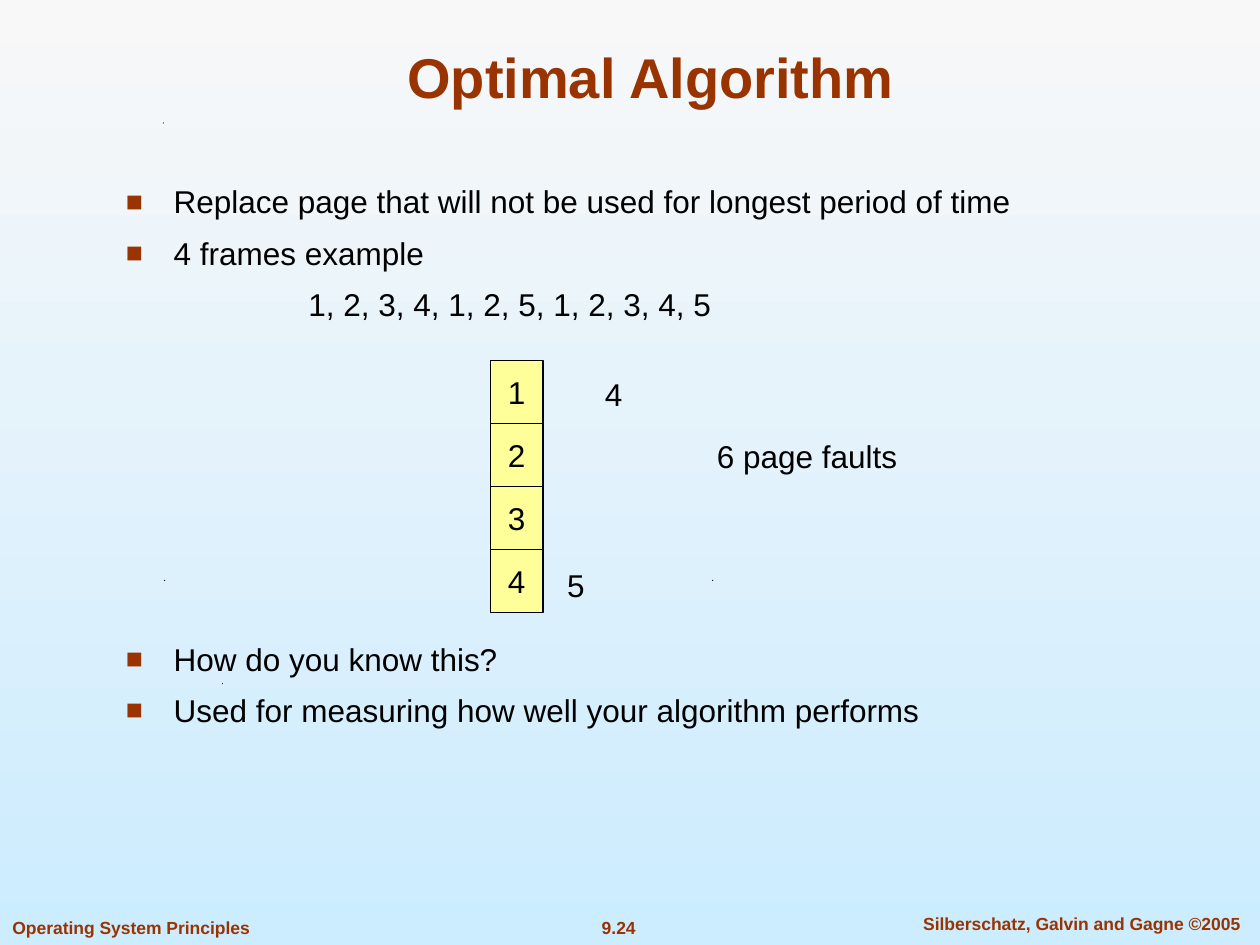
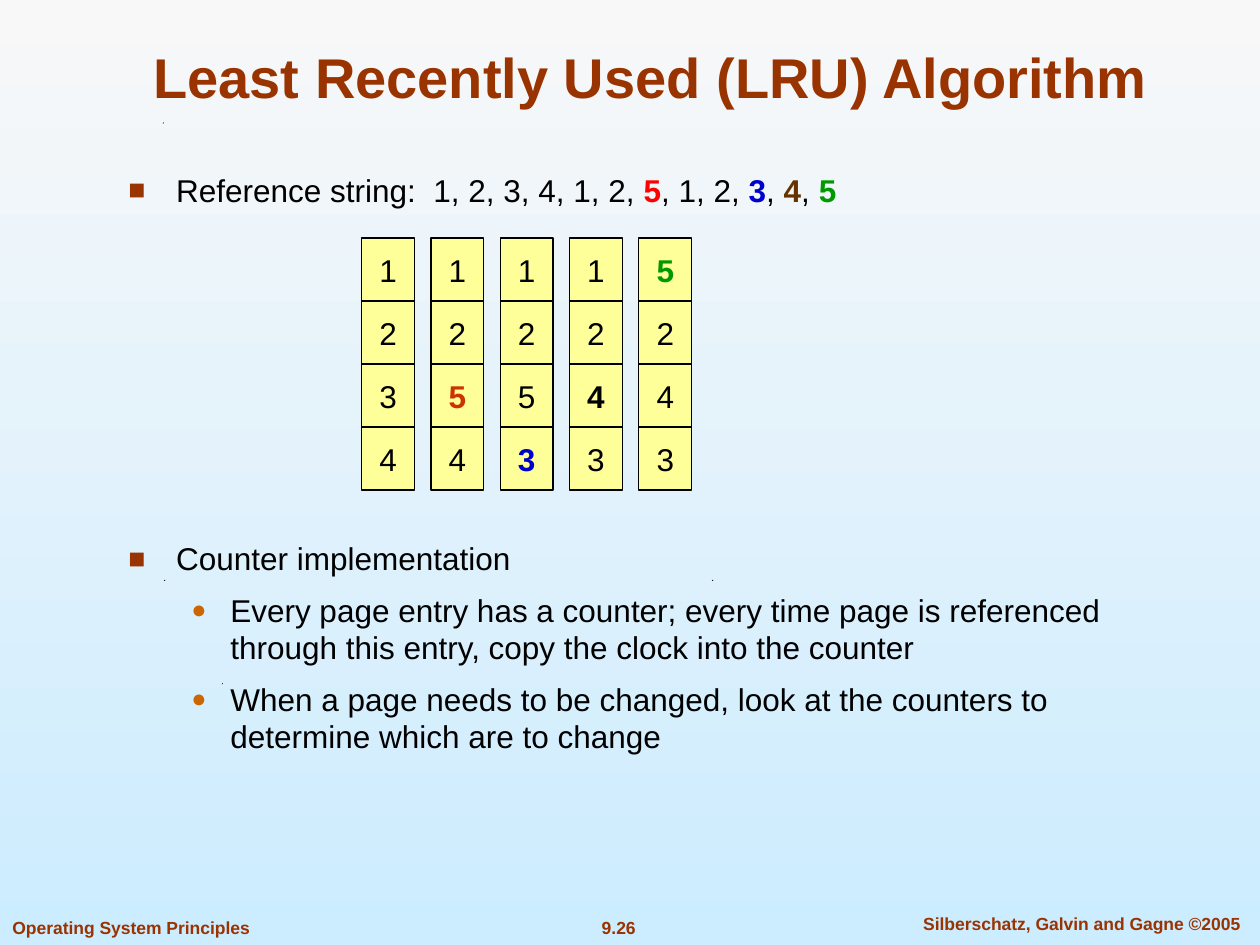
"""Build two slides on page replacement algorithms."""
from dataclasses import dataclass

from lxml import etree
from pptx import Presentation
from pptx import util as u
from pptx.dml.color import RGBColor
from pptx.enum import shapes, text
from pptx.oxml import ns


@dataclass(frozen=True)
class Theme:
    font: str = "Arial"
    accent: str = "993300"
    sub_accent: str = "CC6600"
    ink: str = "000000"
    frame_fill: str = "FFFF99"
    sky_top: str = "F8F8F8"
    sky_bottom: str = "CCECFF"
    red: str = "FF0000"
    brick: str = "CC3300"
    blue: str = "0000CC"
    brown: str = "663300"
    green: str = "009900"
    title_size: float = 32
    body_size: float = 18
    footer_size: float = 10
    line_pitch: float = 21.5
    para_gap: float = 7.9


THEME = Theme()


@dataclass(frozen=True)
class Span:
    text: str
    color: str = THEME.ink
    bold: bool = False
    size: float = THEME.body_size


@dataclass(frozen=True)
class Bullet:
    char: str
    color: str
    percent: int


@dataclass(frozen=True)
class Level:
    margin: float
    hanging: float
    bullet: Bullet | None = None


@dataclass(frozen=True)
class Para:
    spans: tuple[Span, ...]
    level: Level
    gap: float = THEME.para_gap


@dataclass(frozen=True)
class Area:
    left: float
    top: float
    width: float
    height: float

    def lengths(self) -> tuple[u.Length, ...]:
        return tuple(u.Inches(n) for n in (self.left, self.top, self.width, self.height))


@dataclass(frozen=True)
class Label:
    area: Area
    span: Span
    align: text.PP_ALIGN = text.PP_ALIGN.CENTER
    anchor: text.MSO_ANCHOR = text.MSO_ANCHOR.MIDDLE


POINT = Level(0.38, 0.38, Bullet("■", THEME.accent, 90))
SUBPOINT = Level(0.81, 0.31, Bullet("●", THEME.sub_accent, 80))
SEQUENCE = Level(1.45, 0)

TITLE_AREA = Area(0.75, 0.25, 8.83, 0.67)
FRAME_WIDTH, FRAME_HEIGHT, COLUMN_STEP = 0.42, 0.5, 0.55
SPECKS = ((1.29, 0.97), (1.3, 4.6), (5.65, 4.6), (1.76, 5.42))
SPECK_SIZE = 0.01


def add_span(para, span: Span) -> None:
    run = para.add_run()
    run.text = span.text
    run.font.name = THEME.font
    run.font.size = u.Pt(span.size)
    run.font.bold = span.bold
    run.font.color.rgb = RGBColor.from_string(span.color)


def fill_single(box, span: Span, align: text.PP_ALIGN, anchor: text.MSO_ANCHOR) -> None:
    frame = box.text_frame
    frame.auto_size = text.MSO_AUTO_SIZE.NONE
    frame.word_wrap = False
    frame.vertical_anchor = anchor
    para = frame.paragraphs[0]
    para.alignment = align
    add_span(para, span)


def add_label(page, label: Label) -> None:
    box = page.shapes.add_textbox(*label.area.lengths())
    fill_single(box, label.span, label.align, label.anchor)


def set_level(para, level: Level) -> None:
    props = para._p.get_or_add_pPr()
    props.set("marL", str(u.Inches(level.margin)))
    props.set("indent", str(-u.Inches(level.hanging)))
    if level.bullet is None:
        etree.SubElement(props, ns.qn("a:buNone"))
        return
    color = etree.SubElement(props, ns.qn("a:buClr"))
    etree.SubElement(color, ns.qn("a:srgbClr"), val=level.bullet.color)
    etree.SubElement(props, ns.qn("a:buSzPct"), val=str(level.bullet.percent * 1000))
    etree.SubElement(props, ns.qn("a:buFont"), typeface=THEME.font)
    etree.SubElement(props, ns.qn("a:buChar"), char=level.bullet.char)


def add_body(page, area: Area, paras: list[Para]) -> None:
    frame = page.shapes.add_textbox(*area.lengths()).text_frame
    frame.word_wrap = True
    for index, item in enumerate(paras):
        para = frame.add_paragraph() if index else frame.paragraphs[0]
        para.line_spacing = u.Pt(THEME.line_pitch)
        para.space_before = u.Pt(item.gap)
        set_level(para, item.level)
        for span in item.spans:
            add_span(para, span)


def add_frames(page, left: float, top: float, spans: list[Span]) -> None:
    for row, span in enumerate(spans):
        area = Area(left, top + row * FRAME_HEIGHT, FRAME_WIDTH, FRAME_HEIGHT)
        box = page.shapes.add_shape(shapes.MSO_SHAPE.RECTANGLE, *area.lengths())
        box.shadow.inherit = False
        box.fill.solid()
        box.fill.fore_color.rgb = RGBColor.from_string(THEME.frame_fill)
        box.line.color.rgb = RGBColor.from_string(THEME.ink)
        box.line.width = u.Pt(0.75)
        fill_single(box, span, text.PP_ALIGN.CENTER, text.MSO_ANCHOR.MIDDLE)


def add_speck(page, left: float, top: float) -> None:
    right, bottom = u.Inches(left + SPECK_SIZE), u.Inches(top + SPECK_SIZE)
    builder = page.shapes.build_freeform(u.Inches(left), bottom)
    builder.add_line_segments([(right, u.Inches(top)), (right, bottom)], close=True)
    speck = builder.convert_to_shape()
    speck.shadow.inherit = False
    speck.fill.solid()
    speck.fill.fore_color.rgb = RGBColor.from_string(THEME.ink)
    speck.line.fill.background()


def add_footers(page, number: str) -> None:
    center, left = text.PP_ALIGN.CENTER, text.PP_ALIGN.LEFT
    for words, area, align in (
        (number, Area(4.42, 7.23, 0.98, 0.27), center),
        ("Silberschatz, Galvin and Gagne ©2005", Area(7.1, 7.2, 2.97, 0.27), center),
        ("Operating System Principles", Area(0, 7.23, 2.08, 0.27), left),
    ):
        span = Span(words, THEME.accent, True, THEME.footer_size)
        add_label(page, Label(area, span, align, text.MSO_ANCHOR.TOP))


def add_page(deck, title: str, number: str):
    page = deck.slides.add_slide(deck.slide_layouts.get_by_name("Title Only"))
    add_footers(page, number)
    for left, top in SPECKS:
        add_speck(page, left, top)
    box = page.shapes.title
    box.left, box.top, box.width, box.height = TITLE_AREA.lengths()
    span = Span(title, THEME.accent, True, THEME.title_size)
    fill_single(box, span, text.PP_ALIGN.CENTER, text.MSO_ANCHOR.BOTTOM)
    box.text_frame.word_wrap = True
    return page


def paint_background(deck) -> None:
    fill = deck.slide_master.background.fill
    fill.gradient()
    fill.gradient_angle = 270
    for stop, color in zip(fill.gradient_stops, (THEME.sky_top, THEME.sky_bottom)):
        stop.color.rgb = RGBColor.from_string(color)


def build_optimal(deck) -> None:
    page = add_page(deck, "Optimal Algorithm", "9.24")
    add_body(page, Area(0.9, 1.4, 8.04, 4.9), [
        Para((Span("Replace page that will not be used for longest period of time"),), POINT),
        Para((Span("4 frames example"),), POINT),
        Para((Span("1, 2, 3, 4, 1, 2, 5, 1, 2, 3, 4, 5"),), SEQUENCE),
        Para((Span("How do you know this?"),), POINT, gap=181),
        Para((Span("Used for measuring how well your algorithm performs"),), POINT),
    ])
    add_frames(page, 3.89, 2.86, [Span(digit) for digit in "1234"])
    for words, area in (
        ("4", Area(4.7, 2.93, 0.34, 0.4)),
        ("6 page faults", Area(5.59, 3.42, 1.63, 0.4)),
        ("5", Area(4.4, 4.44, 0.34, 0.4)),
    ):
        add_label(page, Label(area, Span(words)))


def build_lru(deck) -> None:
    page = add_page(deck, "Least Recently Used (LRU) Algorithm", "9.26")
    reference = (
        Span("Reference string:  1, 2, 3, 4, 1, 2, "),
        Span("5", THEME.red, True),
        Span(", 1, 2, "),
        Span("3", THEME.blue, True),
        Span(", "),
        Span("4", THEME.brown, True),
        Span(", "),
        Span("5", THEME.green, True),
    )
    add_body(page, Area(0.92, 1.31, 8.04, 4.9), [
        Para(reference, POINT),
        Para((Span("Counter implementation"),), POINT, gap=189),
        Para((Span("Every page entry has a counter; every time page is referenced "
                   "through this entry, copy the clock into the counter"),), SUBPOINT),
        Para((Span("When a page needs to be changed, look at the counters to "
                   "determine which are to change"),), SUBPOINT),
    ])
    columns = (
        ("1234", {}),
        ("1254", {2: THEME.brick}),
        ("1253", {3: THEME.blue}),
        ("1243", {2: THEME.ink}),
        ("5243", {0: THEME.green}),
    )
    for column, (digits, loaded) in enumerate(columns):
        spans = [Span(digit, loaded.get(row, THEME.ink), row in loaded)
                 for row, digit in enumerate(digits)]
        add_frames(page, 2.87 + column * COLUMN_STEP, 1.89, spans)


def main() -> None:
    deck = Presentation()
    deck.slide_width, deck.slide_height = u.Inches(10), u.Inches(7.5)
    paint_background(deck)
    build_optimal(deck)
    build_lru(deck)
    deck.save("out.pptx")


if __name__ == "__main__":
    main()
